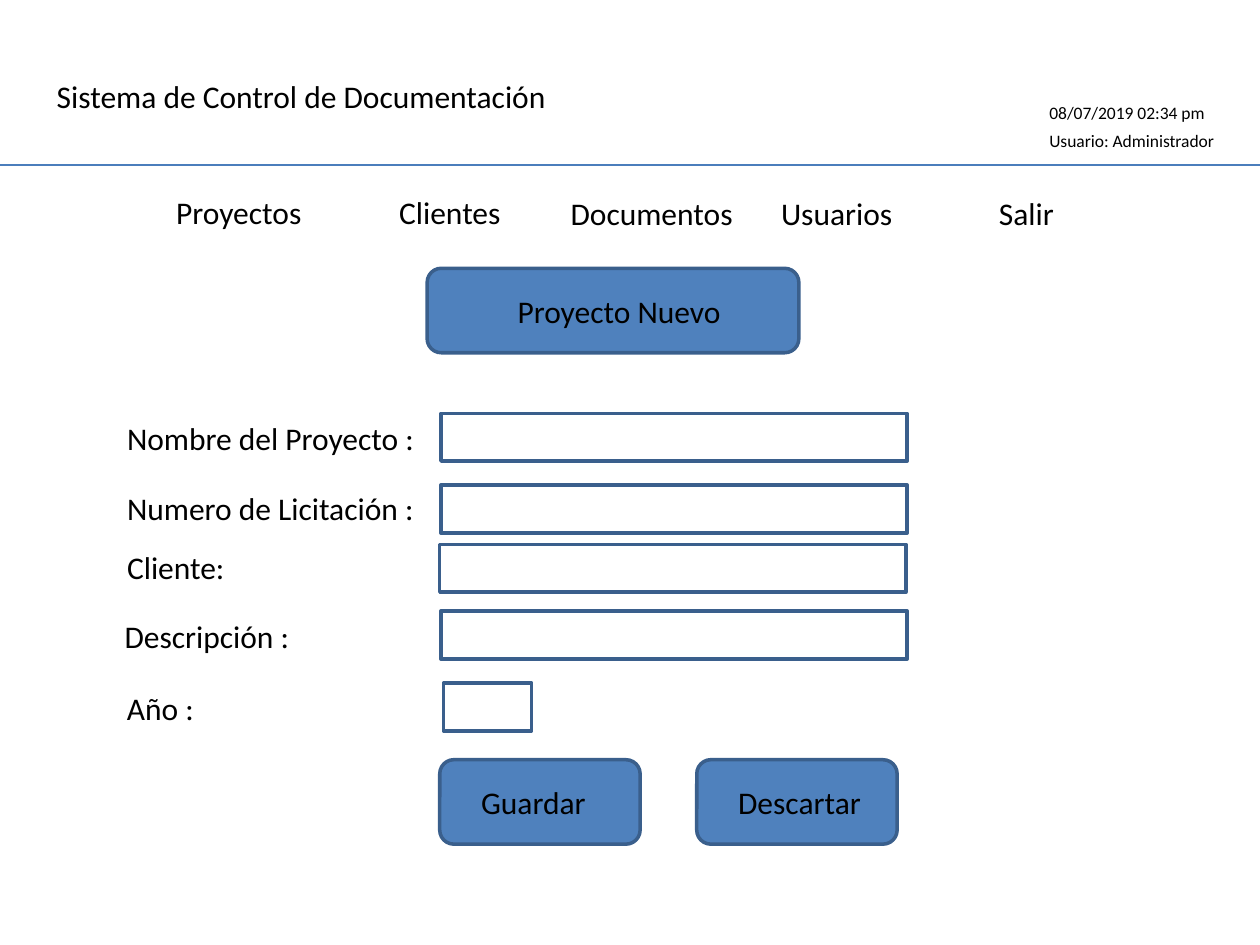
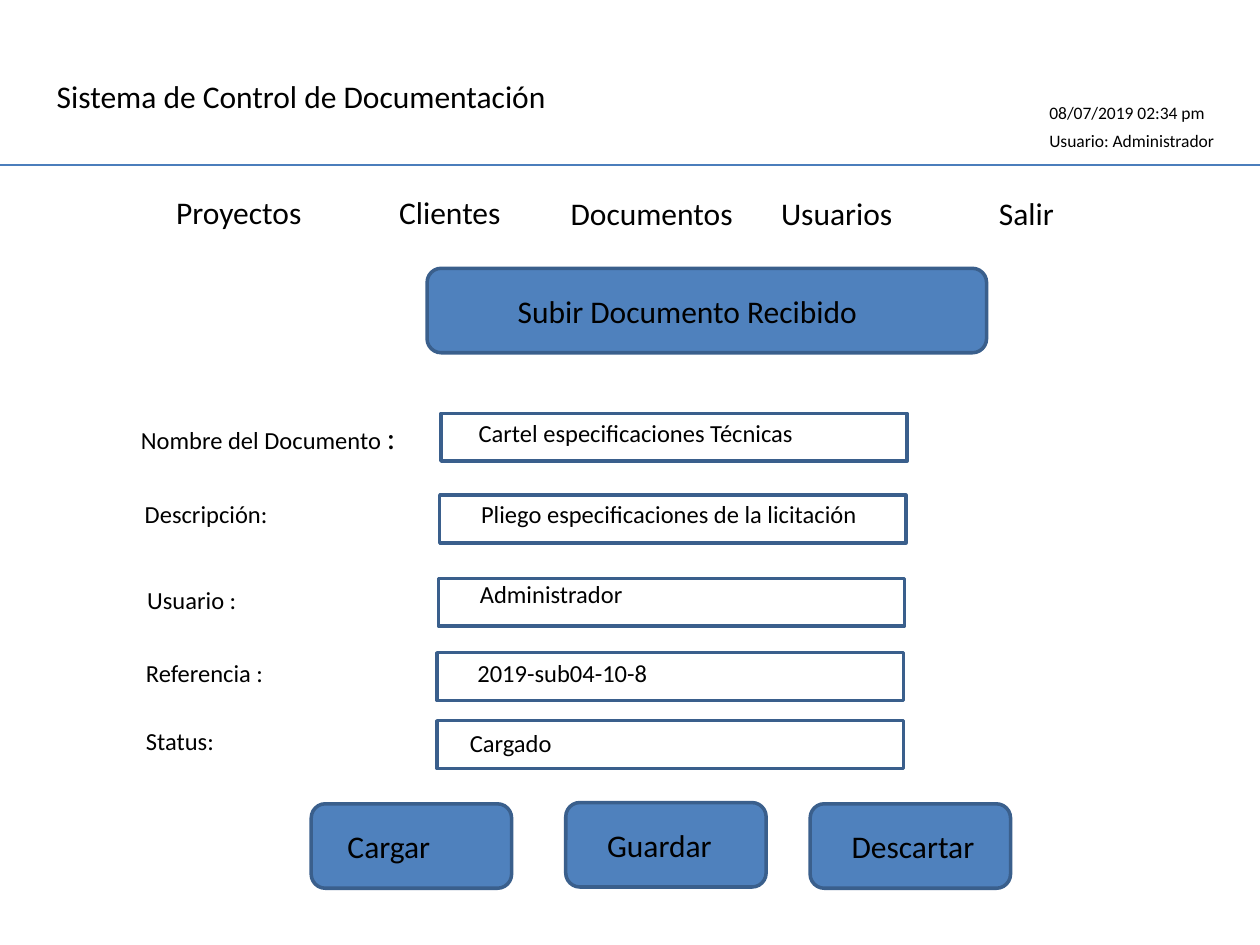
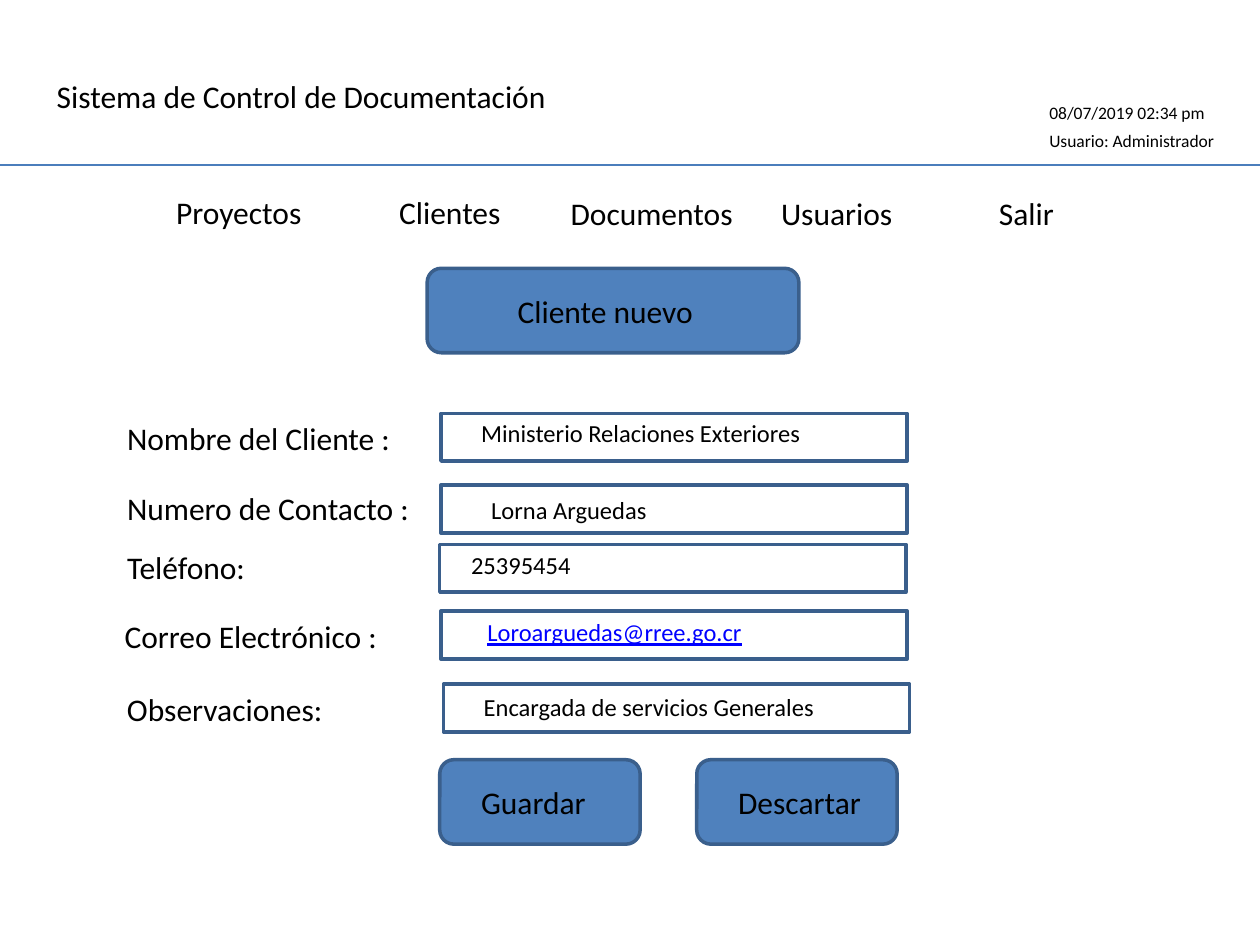
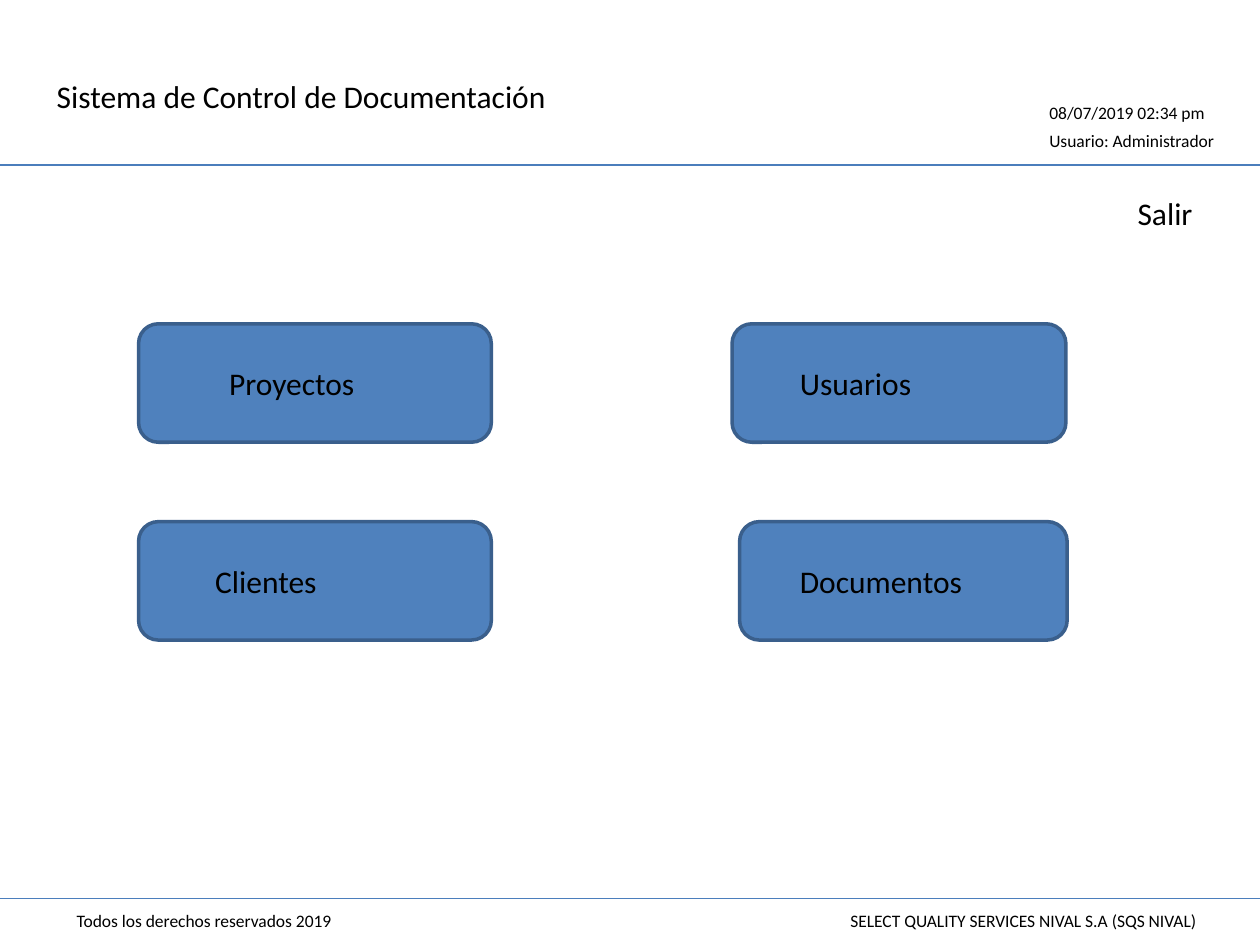
from lxml import etree
from pptx import Presentation
from pptx.dml.color import RGBColor
from pptx.enum.shapes import MSO_CONNECTOR, MSO_SHAPE
from pptx.enum.text import MSO_ANCHOR, MSO_AUTO_SIZE, PP_ALIGN
from pptx.oxml.ns import qn
from pptx.util import Inches, Pt

# Shared style
COLORS = {"button": "4F81BD", "border": "3A5F8C", "rule": "4B7EBC",
          "text": "000000", "link": "0000FF"}
FONT = "Calibri"
LARGE, MEDIUM, SMALL = 18, 14, 10
TEXT_HEIGHT = {LARGE: 0.4, MEDIUM: 0.34, SMALL: 0.27}
SLIDE_WIDTH, SLIDE_HEIGHT = 10, 7.5
HEADER_RULE, FOOTER_RULE = 1.31, 7.13

# Shared content: text, left, top, width
TITLE = ("Sistema de Control de Documentación", 0.35, 0.56, 4.49)
SESSION = [("08/07/2019 02:34 pm", 8.23, 0.76, 1.64),
           ("Usuario: Administrador", 8.23, 0.98, 1.64)]
MENU = [("Proyectos", 1.3, 1.48, 1.42), ("Clientes", 3.07, 1.48, 1.14),
        ("Documentos", 4.43, 1.49, 1.52), ("Usuarios", 6.1, 1.49, 1.52),
        ("Salir", 7.83, 1.49, 0.87)]

# Form geometry
HEADING_LEFT, HEADING_TOP = 3.39, 2.13
FIELD_WIDTH, FIELD_HEIGHT = 3.7, 0.38
YEAR_WIDTH = 0.7
BUTTON_WIDTH, BUTTON_HEIGHT = 1.59, 0.67
VALUE_WIDTH = 3.09
SAVE_BUTTONS = [("Guardar", 3.49, 6.03), ("Descartar", 5.53, 6.03)]

# label: text, left, top, width; field: left, top, width; value: text, left, top
FORMS = [
    {"heading": ("Proyecto Nuevo", 2.95, 1.93), "label_size": LARGE,
     "rows": [
         (("Nombre del Proyecto :", 0.91, 3.28, 2.48), (3.5, 3.28, FIELD_WIDTH), None),
         (("Numero de Licitación :", 0.91, 3.83, 2.48), (3.5, 3.85, FIELD_WIDTH), None),
         (("Cliente:", 0.91, 4.3, 1.42), (3.49, 4.32, FIELD_WIDTH), None),
         (("Descripción :", 0.89, 4.85, 1.57), (3.5, 4.85, FIELD_WIDTH), None),
         (("Año :", 0.91, 5.42, 1.57), (3.52, 5.42, YEAR_WIDTH), None)],
     "buttons": SAVE_BUTTONS},
    {"heading": ("Subir Documento Recibido", 4.44, 3.67), "label_size": MEDIUM,
     "rows": [
         (([("Nombre del Documento ", MEDIUM), (":", LARGE)], 1.02, 3.27, 2.24),
          (3.5, 3.28, FIELD_WIDTH), ("Cartel especificaciones Técnicas", 3.7, 3.27)),
         (("Descripción:", 1.05, 3.91, 1.42), (3.49, 3.93, FIELD_WIDTH),
          ("Pliego especificaciones de la licitación", 3.72, 3.91)),
         (("Usuario :", 1.07, 4.59, 1.57), (3.48, 4.59, FIELD_WIDTH),
          ("Administrador", 3.71, 4.55)),
         (("Referencia :", 1.06, 5.17, 1.57), (3.47, 5.18, FIELD_WIDTH),
          ("2019-sub04-10-8", 3.69, 5.17)),
         (("Status:", 1.06, 5.71, 1.57), (3.47, 5.72, FIELD_WIDTH),
          ("Cargado", 3.63, 5.73))],
     "buttons": [("Cargar", 2.47, 6.38), ("Guardar", 4.49, 6.37),
                 ("Descartar", 6.43, 6.38)]},
    {"heading": ("Cliente nuevo", 2.95, 1.93), "label_size": LARGE,
     "rows": [
         (("Nombre del Cliente :", 0.91, 3.28, 2.48), (3.5, 3.28, FIELD_WIDTH),
          ("Ministerio Relaciones Exteriores", 3.72, 3.27)),
         (("Numero de Contacto :", 0.91, 3.83, 2.48), (3.5, 3.85, FIELD_WIDTH),
          ("Lorna Arguedas", 3.8, 3.88)),
         (("Teléfono:", 0.91, 4.3, 1.42), (3.49, 4.32, FIELD_WIDTH),
          ("25395454", 3.64, 4.32)),
         (("Correo Electrónico :", 0.89, 4.85, 2.5), (3.5, 4.85, FIELD_WIDTH),
          ("Loroarguedas@rree.go.cr", 3.77, 4.85)),
         (("Observaciones:", 0.91, 5.43, 2.5), (3.52, 5.43, FIELD_WIDTH),
          ("Encargada de servicios Generales", 3.74, 5.44))],
     "buttons": SAVE_BUTTONS},
]

# Home screen: text, left, top, width, text left
HOME_BUTTONS = [("Proyectos", 1.1, 2.57, 2.8, 1.72), ("Usuarios", 5.81, 2.57, 2.65, 6.25),
                ("Clientes", 1.1, 4.14, 2.8, 1.61), ("Documentos", 5.87, 4.14, 2.6, 6.25)]
HOME_BUTTON_HEIGHT, HOME_TEXT_WIDTH = 0.94, 1.78
HOME_EXIT = ("Salir", 8.93, 1.49, 0.87)
FOOTER = [("Todos los derechos reservados 2019", 0.51, 7.17, 2.99),
          ("SELECT QUALITY SERVICES NIVAL S.A (SQS NIVAL)", 6.65, 7.17, 3.21)]


def color(name):
    return RGBColor.from_string(COLORS[name])


def format_run(run, size, color_name="text"):
    run.font.name = FONT
    run.font.size = Pt(size)
    run.font.color.rgb = color(color_name)
    if color_name == "link":
        run.font.underline = True


def add_text(slide, text, left, top, width, size=LARGE, color_name="text"):
    """Add a text box; text is a string or a list of (string, size) runs."""
    parts = [(text, size)] if isinstance(text, str) else text
    height = max(TEXT_HEIGHT[part_size] for _, part_size in parts)
    box = slide.shapes.add_textbox(Inches(left), Inches(top), Inches(width), Inches(height))
    box.text_frame.word_wrap = True
    box.text_frame.auto_size = MSO_AUTO_SIZE.SHAPE_TO_FIT_TEXT
    paragraph = box.text_frame.paragraphs[0]
    for part, part_size in parts:
        run = paragraph.add_run()
        run.text = part
        format_run(run, part_size, color_name)


def add_box(slide, kind, left, top, width, height, fill=None):
    shape = slide.shapes.add_shape(kind, Inches(left), Inches(top),
                                   Inches(width), Inches(height))
    shape.shadow.inherit = False
    shape.line.color.rgb = color("border")
    shape.line.width = Pt(2)
    if fill:
        shape.fill.solid()
        shape.fill.fore_color.rgb = color(fill)
    else:
        shape.fill.background()


def add_button(slide, text, left, top, width, height, text_left, text_width):
    add_box(slide, MSO_SHAPE.ROUNDED_RECTANGLE, left, top, width, height, "button")
    text_top = top + (height - TEXT_HEIGHT[LARGE]) / 2
    add_text(slide, text, text_left, text_top, text_width)


def add_rule(slide, top):
    line = slide.shapes.add_connector(MSO_CONNECTOR.STRAIGHT, 0, Inches(top),
                                      Inches(SLIDE_WIDTH), Inches(top))
    line.line.color.rgb = color("rule")
    line.line.width = Pt(0.75)
    etree.SubElement(line._element.spPr, qn("a:effectLst"))


def add_screen(presentation):
    """Add a slide with the title, session details and header rule."""
    slide = presentation.slides.add_slide(presentation.slide_layouts[5])
    text, left, top, width = TITLE
    title = slide.shapes.title
    title.left, title.top = Inches(left), Inches(top)
    title.width, title.height = Inches(width), Inches(TEXT_HEIGHT[LARGE])
    frame = title.text_frame
    frame.text = text
    frame.word_wrap = True
    frame.auto_size = MSO_AUTO_SIZE.SHAPE_TO_FIT_TEXT
    frame.vertical_anchor = MSO_ANCHOR.TOP
    frame.paragraphs[0].alignment = PP_ALIGN.LEFT
    format_run(frame.paragraphs[0].runs[0], LARGE)
    add_rule(slide, HEADER_RULE)
    for item in SESSION:
        add_text(slide, *item, size=SMALL)
    return slide


def add_form(presentation, form):
    slide = add_screen(presentation)
    for item in MENU:
        add_text(slide, *item)

    # Heading
    text, width, text_width = form["heading"]
    add_button(slide, text, HEADING_LEFT, HEADING_TOP, width, BUTTON_HEIGHT,
               HEADING_LEFT + 0.62, text_width)

    # Fields
    for label, (left, top, field_width), value in form["rows"]:
        add_text(slide, *label, size=form["label_size"])
        add_box(slide, MSO_SHAPE.RECTANGLE, left, top, field_width, FIELD_HEIGHT)
        if value:
            # Long values need the rest of the field
            value_width = 3.56 if len(value[0]) > 35 else VALUE_WIDTH
            add_text(slide, *value, value_width, MEDIUM,
                     "link" if "@" in value[0] else "text")

    # Actions
    for text, left, top in form["buttons"]:
        indent = 0.19 if text == "Cargar" else 0.23
        add_button(slide, text, left, top, BUTTON_WIDTH, BUTTON_HEIGHT,
                   left + indent, 1.28 if text == "Descartar" else 1.04)


def add_home(presentation):
    slide = add_screen(presentation)
    add_text(slide, *HOME_EXIT)
    for text, left, top, width, text_left in HOME_BUTTONS:
        add_button(slide, text, left, top, width, HOME_BUTTON_HEIGHT,
                   text_left, HOME_TEXT_WIDTH)
    add_rule(slide, FOOTER_RULE)
    for item in FOOTER:
        add_text(slide, *item, size=SMALL)


def main():
    presentation = Presentation()
    presentation.slide_width = Inches(SLIDE_WIDTH)
    presentation.slide_height = Inches(SLIDE_HEIGHT)
    for form in FORMS:
        add_form(presentation, form)
    add_home(presentation)
    presentation.save("out.pptx")


if __name__ == "__main__":
    main()
